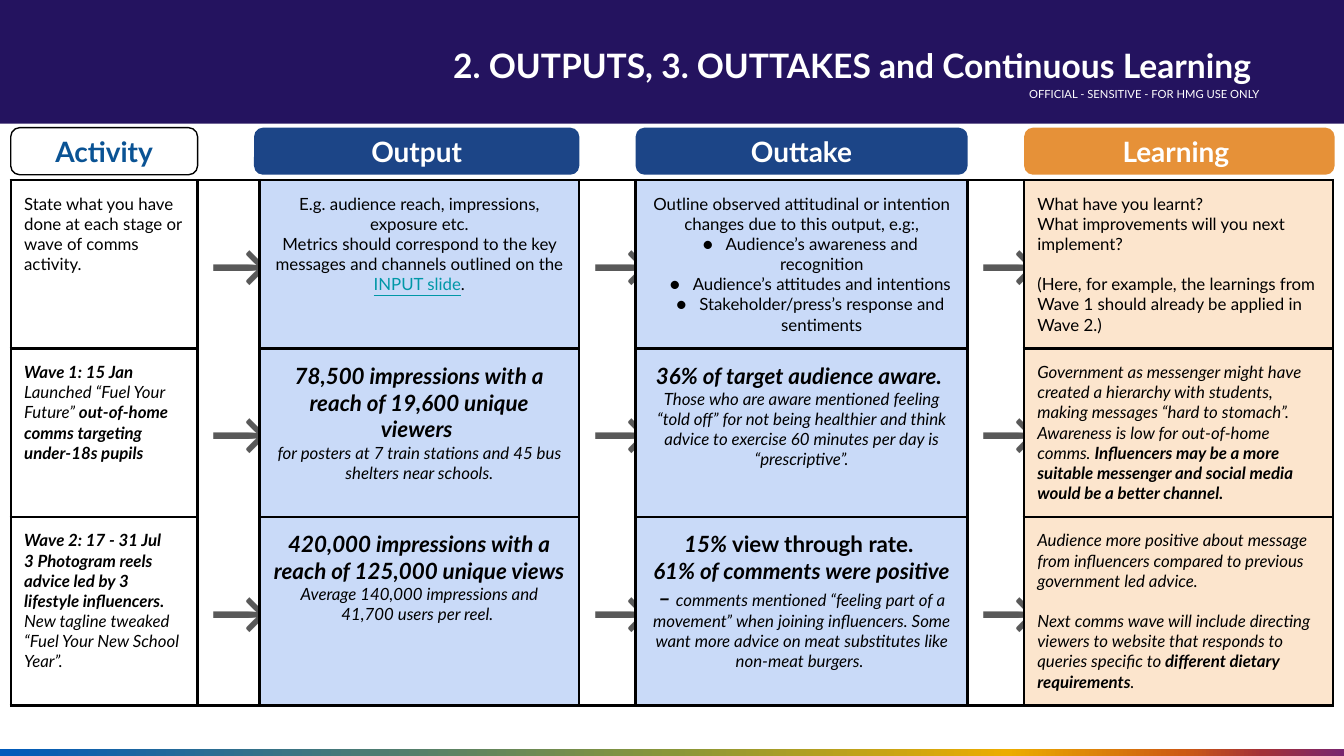
from dataclasses import dataclass

from lxml import etree
from pptx import Presentation
from pptx.dml.color import RGBColor
from pptx.enum.shapes import MSO_SHAPE
from pptx.enum.text import MSO_ANCHOR, PP_ALIGN
from pptx.oxml.ns import qn
from pptx.util import Inches, Pt

RECTANGLE = MSO_SHAPE.RECTANGLE
ROUNDED = MSO_SHAPE.ROUNDED_RECTANGLE
LEFT, CENTER, RIGHT = PP_ALIGN.LEFT, PP_ALIGN.CENTER, PP_ALIGN.RIGHT
TOP, MIDDLE = MSO_ANCHOR.TOP, MSO_ANCHOR.MIDDLE
FONT = "Lato"
COLORS = {
    "navy": "24135F", "blue": "1C4587", "pale_blue": "C9DAF8",
    "orange": "E69138", "peach": "FCE5CD", "activity": "0A5394",
    "arrow": "595959", "link": "0097A7", "black": "000000", "white": "FFFFFF",
}
RAINBOW = [(0, "005ABB"), (50, "899639"), (75, "ECAC00"),
           (88, "CD5A13"), (94, "A33038"), (100, "78256F")]


@dataclass
class Run:
    """A stretch of text; style holds any of b, i and u."""
    text: str
    style: str = ""
    size: float = 9
    color: str = "black"


@dataclass
class Line:
    """A paragraph with its space before and optional bullet."""
    runs: list
    space: float = 0
    bullet: bool = False


def line(text, style="", size=9, color="black", **options):
    """Make a paragraph of a single run."""
    return Line([Run(text, style, size, color)], **options)


COLUMN_WIDTHS = [1.39, 0.46, 2.38, 0.42, 2.47, 0.42, 2.3]
ROW_HEIGHTS = [0.78, 0.89, 1.11]
COLUMN_FILLS = [None, None, "pale_blue", None, "pale_blue", None, "peach"]
CENTERED_COLUMNS = range(1, 6)
ROWS = [
    [
        [line("State what you have done at each stage or wave of comms activity.")],
        [line("E.g. audience reach, impressions, exposure etc."),
         Line([Run("Metrics should correspond to the key messages and channels outlined on the "),
               Run("INPUT slide", "u", color="link"), Run(".")])],
        [line("Outline observed attitudinal or intention changes due to this output, e.g:,"),
         line("Audience’s awareness and recognition", bullet=True),
         line("Audience’s attitudes and intentions", bullet=True),
         line("Stakeholder/press’s response and sentiments", bullet=True)],
        [line("What have you learnt?"),
         line("What improvements will you next implement?"),
         line("(Here, for example, the learnings from Wave 1 should already be applied in Wave 2.)",
              space=10.8)],
    ],
    [
        [line("Wave 1: 15 Jan", "bi"),
         Line([Run("Launched “Fuel Your Future” ", "i"),
               Run("out-of-home comms targeting under-18s pupils", "bi")])],
        [line("78,500 impressions with a reach of 19,600 unique viewers ", "bi", 12),
         line("for posters at 7 train stations and 45 bus shelters near schools.", "i")],
        [line("36% of target audience aware. ", "bi", 12),
         line("Those who are aware mentioned feeling “told off” for not being healthier and think "
              "advice to exercise 60 minutes per day is “prescriptive”.", "i")],
        [Line([Run("Government as messenger might have created a hierarchy with students, making "
                   "messages “hard to stomach”. Awareness is low for out-of-home comms. ", "i"),
               Run("Influencers may be a more suitable messenger and social media would be a "
                   "better channel.", "bi")])],
    ],
    [
        [line("Wave 2: 17 - 31 Jul", "bi"),
         Line([Run("3 Photogram reels advice led by 3 lifestyle influencers. ", "bi"),
               Run("New tagline tweaked “Fuel Your New School Year”.", "i")])],
        [line("420,000 impressions with a reach of 125,000 unique views ", "bi", 12),
         line("Average 140,000 impressions and 41,700 users per reel. ", "i")],
        [Line([Run("15% ", "bi", 12), Run("view through rate. ", "b", 12)]),
         Line([Run("61% of comments were positive – ", "bi", 12),
               Run("comments mentioned “feeling part of a movement” when joining influencers. Some "
                   "want more advice on meat substitutes like non-meat burgers. ", "i")])],
        [line("Audience more positive about message from influencers compared to previous "
              "government led advice.", "i"),
         Line([Run("Next comms wave will include directing viewers to website that responds to "
                   "queries specific to ", "i"),
               Run("different dietary requirements", "bi"), Run(".", "i")], space=10.8)],
    ],
]
HEADERS = [
    ("Activity", 0.08, 1.39, None, "activity"),
    ("Output", 1.89, 2.42, "blue", "white"),
    ("Outtake", 4.73, 2.47, "blue", "white"),
    ("Learning ", 7.62, 2.31, "orange", "white"),
]


def rgb(name):
    """Look up a named colour."""
    return RGBColor.from_string(COLORS[name])


def add_bullet(paragraph):
    """Give a paragraph a hanging round bullet."""
    properties = paragraph._p.get_or_add_pPr()
    properties.set("marL", str(Inches(0.3)))
    properties.set("indent", str(Inches(-0.17)))
    color = etree.SubElement(properties, qn("a:buClr"))
    etree.SubElement(color, qn("a:srgbClr"), val=COLORS["black"])
    etree.SubElement(properties, qn("a:buSzPts"), val="900")
    etree.SubElement(properties, qn("a:buFont"), typeface=FONT)
    etree.SubElement(properties, qn("a:buChar"), char="●")


def write(text_frame, lines, alignment):
    """Fill a text frame with styled paragraphs."""
    for index, content in enumerate(lines):
        paragraph = text_frame.add_paragraph() if index else text_frame.paragraphs[0]
        paragraph.alignment = alignment
        if content.bullet:
            add_bullet(paragraph)
        if content.space:
            paragraph.space_before = Pt(content.space)
        for part in content.runs:
            run = paragraph.add_run()
            run.text = part.text
            font = run.font
            font.name, font.size = FONT, Pt(part.size)
            font.bold, font.italic = "b" in part.style, "i" in part.style
            font.underline = "u" in part.style
            font.color.rgb = rgb(part.color)


def set_margins(box, margin):
    """Set four equal margins on a text frame or table cell."""
    box.margin_left = box.margin_right = Inches(margin)
    box.margin_top = box.margin_bottom = Inches(margin)


def add_box(slide, kind, box, fill=None):
    """Add a flat shape, filled or hollow, without an outline."""
    shape = slide.shapes.add_shape(kind, *map(Inches, box))
    shape.shadow.inherit = False
    shape.line.fill.background()
    if fill:
        shape.fill.solid()
        shape.fill.fore_color.rgb = rgb(fill)
    else:
        shape.fill.background()
    return shape


def add_label(slide, box, content, margin):
    """Add a right-aligned text box."""
    text_frame = slide.shapes.add_textbox(*map(Inches, box)).text_frame
    text_frame.word_wrap = True
    set_margins(text_frame, margin)
    write(text_frame, [content], RIGHT)
    return text_frame


def add_banner(slide, left, top, width, height):
    """Draw the title banner with its classification line."""
    add_box(slide, RECTANGLE, (left, top, width, height), "navy")
    add_label(slide, (left + 6.13, top + 0.61, 3.28, 0.18),
              line("OFFICIAL - SENSITIVE - FOR HMG USE ONLY", size=6, color="white"), 0.04)
    title = add_label(slide, (left + 2.08, top + 0.19, 7.39, 0.54),
                      line("2. OUTPUTS, 3. OUTTAKES and Continuous Learning ", "b", 18, "white"), 0.1)
    title.paragraphs[0].line_spacing = 1.15
    title.paragraphs[0].space_after = Pt(4)


def add_rainbow(slide, *box):
    """Draw the gradient strip along the bottom."""
    strip = add_box(slide, RECTANGLE, box)
    strip.fill.gradient()
    strip.fill.gradient_angle = 0
    stops = strip._element.spPr.find(qn("a:gradFill")).find(qn("a:gsLst"))
    for stop in list(stops):
        stops.remove(stop)
    for position, color in RAINBOW:
        stop = etree.SubElement(stops, qn("a:gs"), pos=str(position * 1000))
        etree.SubElement(stop, qn("a:srgbClr"), val=color)


def add_header(slide, text, box, fill, color):
    """Draw one rounded column heading."""
    shape = add_box(slide, ROUNDED, box, fill)
    shape.adjustments[0] = 0.19
    if not fill:
        shape.line.color.rgb = rgb("black")
        shape.line.width = Pt(0.75)
    text_frame = shape.text_frame
    text_frame.word_wrap = True
    text_frame.vertical_anchor = MIDDLE
    set_margins(text_frame, 0.1)
    write(text_frame, [line(text, "b", 15, color)], CENTER)


def set_borders(cell, visible):
    """Draw the named sides of a cell in black and hide the others."""
    properties = cell._tc.get_or_add_tcPr()
    for side in "LRTB":
        border = etree.SubElement(properties, qn("a:ln" + side), w=str(Pt(1.5)))
        if side in visible:
            fill = etree.SubElement(border, qn("a:solidFill"))
            etree.SubElement(fill, qn("a:srgbClr"), val=COLORS["black"])
        else:
            etree.SubElement(border, qn("a:noFill"))


def add_wave_table(slide, left, top, width, height):
    """Build the table of waves with arrow columns between the stages."""
    frame = slide.shapes.add_table(len(ROW_HEIGHTS), len(COLUMN_WIDTHS),
                                   *map(Inches, (left, top, width, height)))
    table = frame.table
    table.first_row = table.horz_banding = False
    for column, column_width in zip(table.columns, COLUMN_WIDTHS):
        column.width = Inches(column_width)
    last_row = len(ROWS) - 1
    for row_index, contents in enumerate(ROWS):
        table.rows[row_index].height = Inches(ROW_HEIGHTS[row_index])
        for column_index, fill in enumerate(COLUMN_FILLS):
            cell = table.cell(row_index, column_index)
            is_arrow = column_index % 2 == 1
            set_margins(cell, 0.1)
            cell.vertical_anchor = MIDDLE if is_arrow else TOP
            outer = "T" * (row_index == 0) + "B" * (row_index == last_row)
            set_borders(cell, "LR" + (outer if is_arrow else "TB"))
            if fill:
                cell.fill.solid()
                cell.fill.fore_color.rgb = rgb(fill)
            else:
                cell.fill.background()
            lines = [line("→", "b", 32, "arrow")] if is_arrow else contents[column_index // 2]
            centered = column_index in CENTERED_COLUMNS and not (is_arrow and row_index == last_row)
            write(cell.text_frame, lines, CENTER if centered else LEFT)
    frame.height = Inches(height)


def main():
    """Build and save the slide."""
    presentation = Presentation()
    presentation.slide_width = Inches(10)
    presentation.slide_height = presentation.slide_width * 9 // 16
    slide = presentation.slides.add_slide(presentation.slide_layouts[6])
    add_banner(slide, 0, 0, 10, 0.92)
    add_rainbow(slide, 0, 5.57, 10, 0.06)
    add_wave_table(slide, 0.08, 1.34, 9.84, 4.05)
    for text, left, width, fill, color in HEADERS:
        add_header(slide, text, (left, 0.95, width, 0.35), fill, color)
    presentation.save("out.pptx")


if __name__ == "__main__":
    main()
